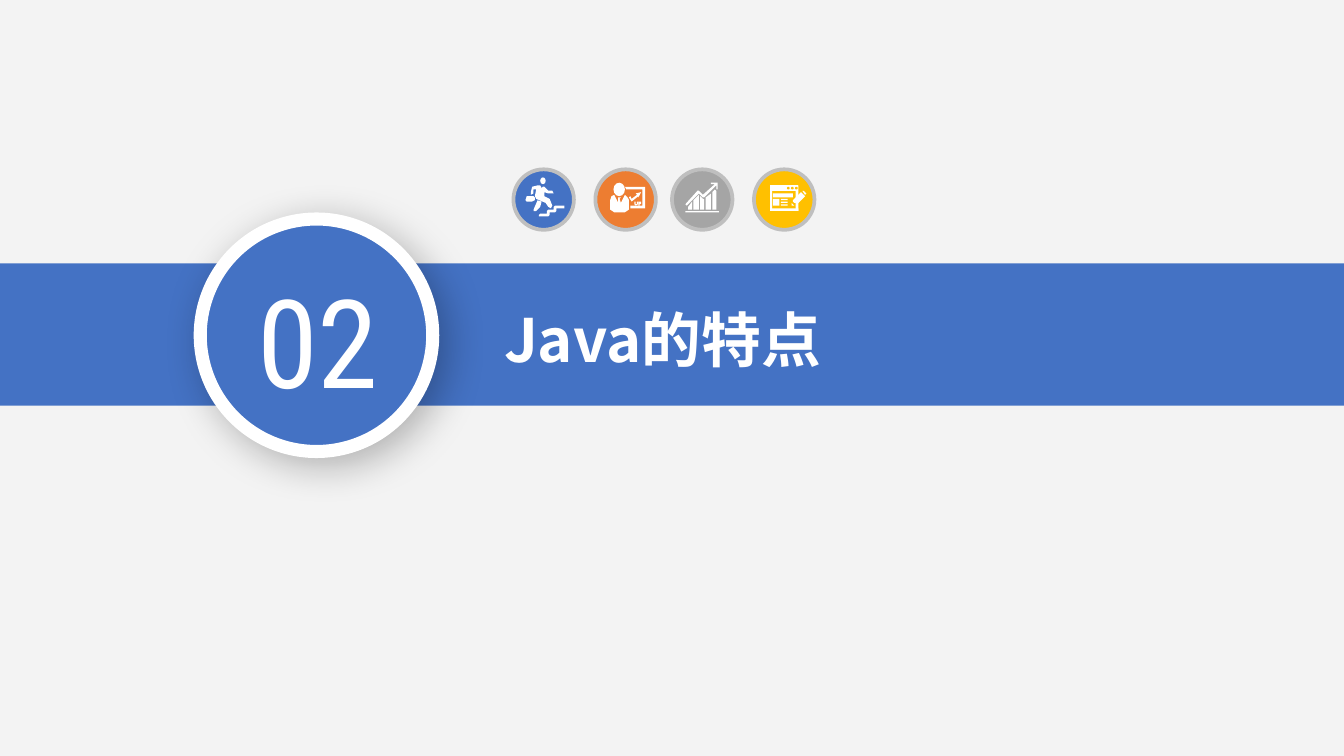
from pptx import Presentation
from pptx.dml.color import RGBColor
from pptx import util as u
from pptx.enum import shapes as es, text as et
from lxml import etree

WIDE = 10
HIGH = WIDE * 9 / 16
BLUE, WHITE, RING = "4472C4", "FFFFFF", "BFBFBF"
TITLE = dict(text="Java的特点", name="Noto Sans CJK SC", size=u.Pt(32), bold=True)
COUNT = dict(text="02", name="Roboto Condensed", size=u.Pt(66), bold=False)

# Icon art, in hundredths of an inch from the disc's top left corner
RUNNER = dict(
    polys=[
        # stairs, case, rear leg, body
        [(20, 33), (25, 33), (25, 31), (26, 30), (30, 30), (30, 28), (31, 27), (38, 27),
         (38, 29), (32, 29), (32, 31), (31, 32), (27, 32), (27, 34), (26, 35), (19, 35), (19, 34)],
        [(10, 24), (14, 24), (16, 23), (16, 21), (15, 20), (10, 20), (9, 23)],
        [(15, 30), (18, 23), (21, 24), (20, 28), (17, 31), (15, 31)],
        [(22, 13), (23, 13), (26, 15.5), (29, 16), (30, 18), (26, 18), (23, 17), (23, 20),
         (27, 22), (29, 27), (28, 29), (26, 28), (24, 25), (17, 22), (16, 20), (17, 15),
         (15, 15), (15, 18), (13, 19), (13, 17), (14, 13), (18, 12), (20, 12), (21, 14)]],
    ovals=[(20, 6, 4, 5)])
SPEAKER = dict(
    polys=[
        # board, rising arrow, torso, letters U and P
        [(22, 13), (23, 15), (35, 15), (35, 27), (26, 27), (26, 29), (37, 29), (37, 13)],
        [(26, 20), (25, 21), (27, 24), (32, 20), (32, 21), (34, 17), (30, 18), (31, 19), (27, 22)],
        [(22, 19), (19, 25), (18, 22), (19, 21), (17, 21), (17, 25), (14, 19), (12, 20), (11, 23),
         (11, 30), (14, 31.5), (18, 32), (22, 31.5), (25, 30), (25, 23), (24, 21)],
        [(29, 24), (29, 26), (30.5, 27), (32, 26), (32, 24), (31, 24), (31, 26), (30, 26), (30, 24)],
        [(32.5, 24), (32.5, 27), (33, 27), (33, 26), (34, 25.5), (34, 24)]],
    ovals=[(13.5, 10, 8.5, 10)])
GRAPH = dict(
    polys=[
        # five bars, trend arrow
        [(12, 30), (15, 30), (15, 24), (12, 28)],
        [(16, 30), (20, 30), (20, 19), (16, 23)],
        [(21, 30), (24, 30), (24, 22), (23, 22), (21, 20)],
        [(25, 30), (29, 30), (29, 18), (25, 21)],
        [(30, 30), (33, 30), (33, 16), (32, 15), (30, 17)],
        [(11, 27), (20, 18), (23, 21), (24, 21), (33, 12), (33, 15), (34, 15), (34, 10),
         (29, 10), (29, 11), (32, 11), (23, 19), (20, 16), (19, 16), (10, 26)]],
    rects=[(10, 31, 25, 1)])
EDITOR = dict(
    polys=[
        # window head, pencil tip, shaft and cap
        [(12, 12), (33, 12), (33, 16), (12, 16)],
        [(28, 25), (28, 27), (30, 27)],
        [(35, 17), (29, 23), (29, 24), (30, 25), (31, 25), (32, 26), (38, 20)],
        [(38, 19), (39, 18), (37, 16), (36, 16)]],
    rects=[(12, 12, 1.5, 19), (31, 12, 2, 19), (12, 29, 21, 2), (14, 18, 15, 3),
           (14, 22, 5, 5)] + [(20, y, 5, 1) for y in (22, 24, 26)],
    dots=[(x, 13, 2, 2) for x in (24.5, 27.5, 30.5)])
ICONS = [(3.82, BLUE, RUNNER), (4.43, "ED7D31", SPEAKER),
         (5.00, "A5A5A5", GRAPH), (5.61, "FFC000", EDITOR)]
DISC, TOP = 0.45, 1.26
KINDS = dict(rects="RECTANGLE", ovals="OVAL", dots="OVAL")


def paint(shape, fill, line=None, width=0):
    shape.shadow.inherit = False
    shape.fill.solid()
    shape.fill.fore_color.rgb = RGBColor.from_string(fill)
    if line:
        shape.line.color.rgb = RGBColor.from_string(line)
        shape.line.width = u.Pt(width)
    else:
        shape.line.fill.background()
    return shape


def add(home, kind, box, *look):
    form = getattr(es.MSO_SHAPE, kind)
    return paint(home.shapes.add_shape(form, *map(u.Inches, box)), *look)


def write(shape, box, style, align, pad):
    for key, val in zip(("left", "top", "width", "height"), box):
        setattr(shape, key, u.Inches(val))
    frame = shape.text_frame
    sides = dict(margin_left=pad[0], margin_right=pad[0], margin_top=pad[1], margin_bottom=pad[1])
    for key, val in sides.items():
        setattr(frame, key, u.Inches(val))
    frame.word_wrap = True
    frame.auto_size = et.MSO_AUTO_SIZE.NONE
    frame.vertical_anchor = et.MSO_ANCHOR.MIDDLE
    para = frame.paragraphs[0]
    para.alignment = align
    run = para.add_run()
    run.text = style["text"]
    for key in ("name", "size", "bold"):
        setattr(run.font, key, style[key])
    run.font.color.rgb = RGBColor.from_string(WHITE)
    tag = run.font._element.find(A + "latin")
    east = etree.Element(A + "ea", typeface=style["name"])
    tag.addnext(east)


def glow(shape, alpha, blur, dist, angle):
    effect = shape._element.spPr.find(A + "effectLst")
    outer = etree.SubElement(effect, A + "outerShdw", blurRad=str(u.Pt(blur)),
                             dist=str(u.Pt(dist)), dir=str(angle * 60000),
                             algn="tl", rotWithShape="0")
    tone = etree.SubElement(outer, A + "srgbClr", val="000000")
    etree.SubElement(tone, A + "alpha", val=str(alpha * 1000))


def draw(slide, left, tint, art):
    group = slide.shapes.add_group_shape()
    add(group, "OVAL", (left, TOP, DISC, DISC), tint, RING, 2)
    for poly in art["polys"]:
        pen = group.shapes.build_freeform(*poly[0], scale=u.Inches(0.01))
        pen.add_line_segments(poly[1:], close=True)
        paint(pen.convert_to_shape(u.Inches(left), u.Inches(TOP)), WHITE)
    for key, kind in KINDS.items():
        for x, y, w, h in art.get(key, []):
            box = (left + x / 100, TOP + y / 100, w / 100, h / 100)
            add(group, kind, box, tint if key == "dots" else WHITE)


A = "{http://schemas.openxmlformats.org/drawingml/2006/main}"
deck = Presentation()
deck.slide_width, deck.slide_height = u.Inches(WIDE), u.Inches(HIGH)
slide = deck.slides.add_slide(deck.slide_layouts[5])
back = slide.background.fill
back.solid()
back.fore_color.rgb = RGBColor.from_string("F3F3F3")

# Band with the title in front of it
add(slide, "RECTANGLE", (0, 1.96, WIDE, 1.06), BLUE)
title = slide.shapes.title
slide.shapes._spTree.append(title._element)
write(title, (3.65, 2.2, 3.94, 0.64), TITLE, et.PP_ALIGN.LEFT, (0.1, 0.05))

# Row of icons
for icon in ICONS:
    draw(slide, *icon)

# Section number on its disc
badge = slide.shapes.add_group_shape()
glow(add(badge, "OVAL", (1.49, 1.63, 1.73, 1.73), BLUE, WHITE, 7), 28, 22, 6, 45)
label = badge.shapes.add_textbox(0, 0, 0, 0)
write(label, (1.71, 1.93, 1.31, 1.19), COUNT, et.PP_ALIGN.CENTER, (0.07, 0.04))
# Refit the group around its moved label
badge._element.recalculate_extents()

deck.save("out.pptx")
